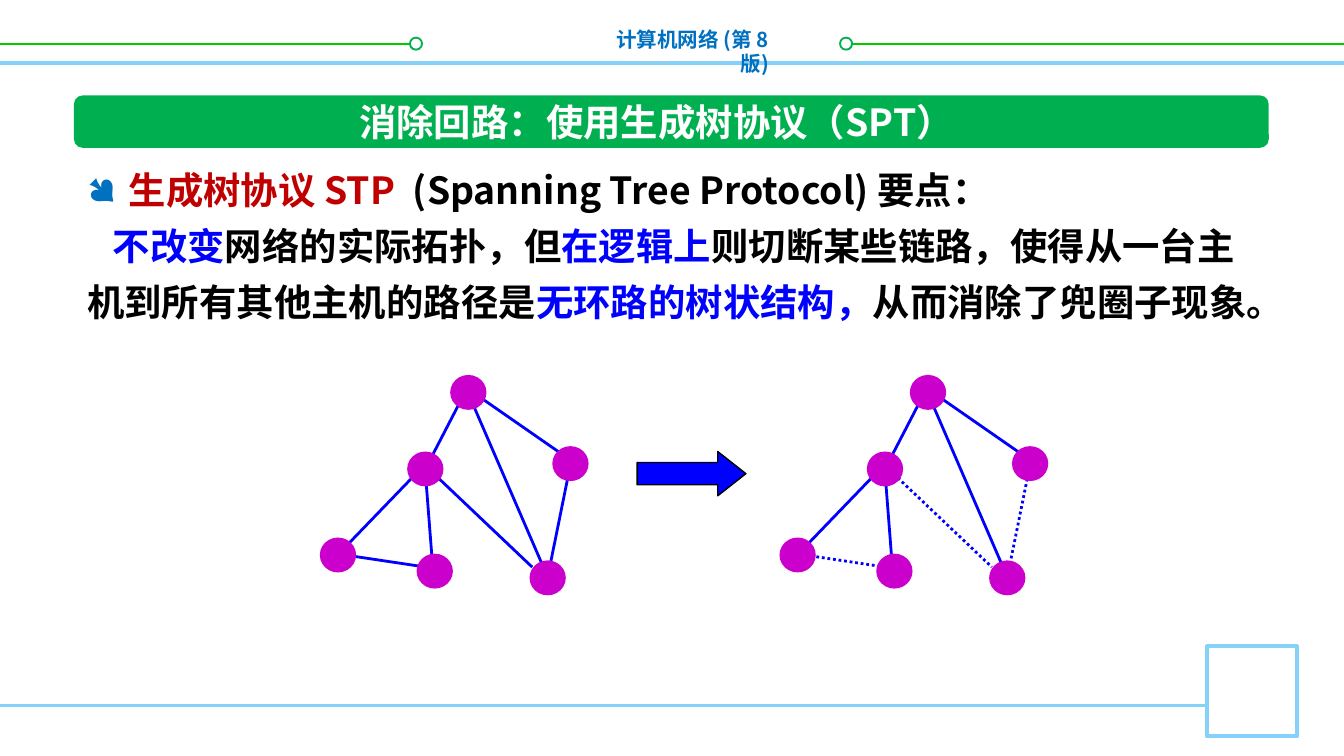
import pptx
import pptx.util
import pptx.dml.color
import pptx.enum.dml
import pptx.enum.shapes
import pptx.enum.text
import pptx.oxml
import pptx.oxml.ns

FONT = "Noto Sans CJK SC"
COLORS = {
    "sky": "85D1F7", "lime": "00CC00", "green": "00B050", "azure": "0070C0",
    "red": "C00000", "blue": "0000FF", "purple": "CC00CC",
    "black": "000000", "white": "FFFFFF",
}
SHAPE = pptx.enum.shapes.MSO_SHAPE
ALIGN = pptx.enum.text.PP_ALIGN
ANCHOR = pptx.enum.text.MSO_ANCHOR
GRAPH_SHIFT = 3.42
NODE_SIZE = (0.27, 0.26)
NODES = [(3.35, 2.79), (4.11, 3.32), (3.94, 4.17),
         (2.38, 4), (3.1, 4.12), (3.03, 3.36)]
TREE_EDGES = [(3.46, 2.92, 3.17, 3.48), (3.52, 2.92, 4.24, 3.42),
              (3.52, 3.01, 4.03, 4.19), (2.57, 4.07, 3.1, 3.52),
              (3.22, 4.22, 3.16, 3.45)]
CUT_EDGES = [(3.17, 3.47, 3.96, 4.22), (4.24, 3.48, 4.08, 4.27),
             (3.17, 4.22, 2.57, 4.13)]


def rgb(name):
    """Return the named colour."""
    return pptx.dml.color.RGBColor.from_string(COLORS[name])


def inches(*lengths):
    """Convert lengths in inches."""
    return [pptx.util.Inches(length) for length in lengths]


def add_line(shapes, start, end, color, width, dash=None):
    """Draw a straight line without a shadow."""
    kind = pptx.enum.shapes.MSO_CONNECTOR.STRAIGHT
    line = shapes.add_connector(kind, *inches(*start, *end))
    line.line.color.rgb = rgb(color)
    line.line.width = pptx.util.Pt(width)
    if dash:
        line.line.dash_style = dash
    effects = pptx.oxml.parse_xml(
        "<a:effectLst %s/>" % pptx.oxml.ns.nsdecls("a"))
    line._element.spPr.append(effects)
    return line


def add_box(shapes, kind, box, fill, line=None, width=1, adjust=()):
    """Draw a filled preset shape, with an outline if a colour is given."""
    sp = shapes.add_shape(kind, *inches(*box))
    sp.shadow.inherit = False
    sp.fill.solid()
    sp.fill.fore_color.rgb = rgb(fill)
    if line:
        sp.line.color.rgb = rgb(line)
        sp.line.width = pptx.util.Pt(width)
    else:
        sp.line.fill.background()
    for index, value in enumerate(adjust):
        sp.adjustments[index] = value
    return sp


def add_text(p, text, size=20, color="black", bold=True, spacing=0):
    """Append a formatted run to a paragraph, with letter spacing in points."""
    r = p.add_run()
    r.text = text
    r.font.size = pptx.util.Pt(size)
    r.font.bold = bold
    r.font.name = FONT
    r.font.color.rgb = rgb(color)
    rPr = r.font._element
    if spacing:
        rPr.set("spc", str(spacing * 100))
    ea = rPr.makeelement(pptx.oxml.ns.qn("a:ea"), {"typeface": FONT})
    rPr.find(pptx.oxml.ns.qn("a:latin")).addnext(ea)
    return r


def add_textbox(shapes, box):
    """Add a wrapping text box and return its text frame."""
    tf = shapes.add_textbox(*inches(*box)).text_frame
    tf.word_wrap = True
    return tf


def indent(p, left, first):
    """Set the left margin and first-line indent of a paragraph."""
    pPr = p._p.get_or_add_pPr()
    pPr.set("marL", str(pptx.util.Inches(left)))
    pPr.set("indent", str(pptx.util.Inches(first)))
    return pPr


def add_bullet(p, char, color):
    """Give a paragraph a coloured bullet with a hanging indent."""
    pPr = indent(p, 0.31, -0.31)
    ns = pptx.oxml.ns.nsdecls("a")
    for xml in ('<a:buClr %s><a:srgbClr val="%s"/></a:buClr>' % (ns, COLORS[color]),
                '<a:buFont %s typeface="Wingdings" charset="2"/>' % ns,
                '<a:buChar %s char="%s"/>' % (ns, char)):
        pPr.append(pptx.oxml.parse_xml(xml))


def add_frame(shapes):
    """Draw the header and footer decoration."""
    add_line(shapes, (0, 0.47), (10, 0.47), "sky", 2)
    for start, end, circle in ((0, 3.1, 3.05), (6.25, 10, 6.25)):
        add_line(shapes, (start, 0.33), (end, 0.33), "lime", 1)
        add_box(shapes, SHAPE.OVAL, (circle, 0.28, 0.09, 0.09), "white", "green")
    p = add_textbox(shapes, (4.31, 0.15, 1.51, 0.29)).paragraphs[0]
    p.alignment = ALIGN.RIGHT
    add_text(p, "计算机网络 (第 8 版)", size=11, color="azure")
    add_line(shapes, (0, 5.25), (8.98, 5.25), "sky", 1.5)
    add_box(shapes, SHAPE.RECTANGLE, (8.98, 4.81, 0.67, 0.67), "white", "sky", 2)


def add_title(s):
    """Place the title over its green banner."""
    add_box(s.shapes, SHAPE.ROUNDED_RECTANGLE, (0.55, 0.71, 8.89, 0.39),
            "green", adjust=[0.167])
    title = s.shapes.title
    title.left, title.top, title.width, title.height = inches(2.47, 0.69, 4.83, 0.44)
    s.shapes._spTree.append(title._element)
    tf = title.text_frame
    tf.word_wrap = False
    tf.auto_size = pptx.enum.text.MSO_AUTO_SIZE.NONE
    tf.vertical_anchor = ANCHOR.TOP
    tf.paragraphs[0].alignment = ALIGN.CENTER
    add_text(tf.paragraphs[0], "消除回路：使用生成树协议（SPT）", color="white")


def add_body(shapes):
    """Write the key points of the protocol."""
    tf = add_textbox(shapes, (0.55, 1.11, 8.85, 1.36))
    heading, detail = tf.paragraphs[0], tf.add_paragraph()
    heading.line_spacing = detail.line_spacing = pptx.util.Pt(30)
    add_bullet(heading, "●", "azure")
    add_text(heading, "生成树协议 STP", color="red")
    add_text(heading, " ", color="red", spacing=5)
    add_text(heading, "(Spanning Tree Protocol) 要点：")
    indent(detail, 0, 0.19)
    for text, color in (
            ("不改变", "blue"), ("网络的实际拓扑，但", "black"),
            ("在逻辑上", "blue"),
            ("则切断某些链路，使得从一台主机到所有其他主机的路径是", "black"),
            ("无环路的树状结构，", "blue"), ("从而消除了兜圈子现象。", "black")):
        add_text(detail, text, color=color)


def add_graph(shapes, shift=0, cut_dash=None):
    """Draw the network as a group, shifted right, with its cut links dashed."""
    group = shapes.add_group_shape().shapes
    for edges, dash in ((TREE_EDGES, None), (CUT_EDGES, cut_dash)):
        for x1, y1, x2, y2 in edges:
            add_line(group, (x1 + shift, y1), (x2 + shift, y2), "blue", 1.5, dash)
    for x, y in NODES:
        add_box(group, SHAPE.OVAL, (x + shift, y, *NODE_SIZE), "purple")


def main():
    """Build and save the slide."""
    prs = pptx.Presentation()
    prs.slide_width = pptx.util.Inches(10)
    prs.slide_height = prs.slide_width * 9 // 16
    s = prs.slides.add_slide(prs.slide_layouts[5])
    add_frame(s.shapes)
    add_body(s.shapes)
    add_title(s)
    add_box(s.shapes, SHAPE.RIGHT_ARROW, (4.74, 3.36, 0.81, 0.33), "blue",
            "black", 0.75, adjust=[0.5, 0.635])
    add_graph(s.shapes)
    add_graph(s.shapes, GRAPH_SHIFT, pptx.enum.dml.MSO_LINE.ROUND_DOT)
    prs.save("out.pptx")


if __name__ == "__main__":
    main()
